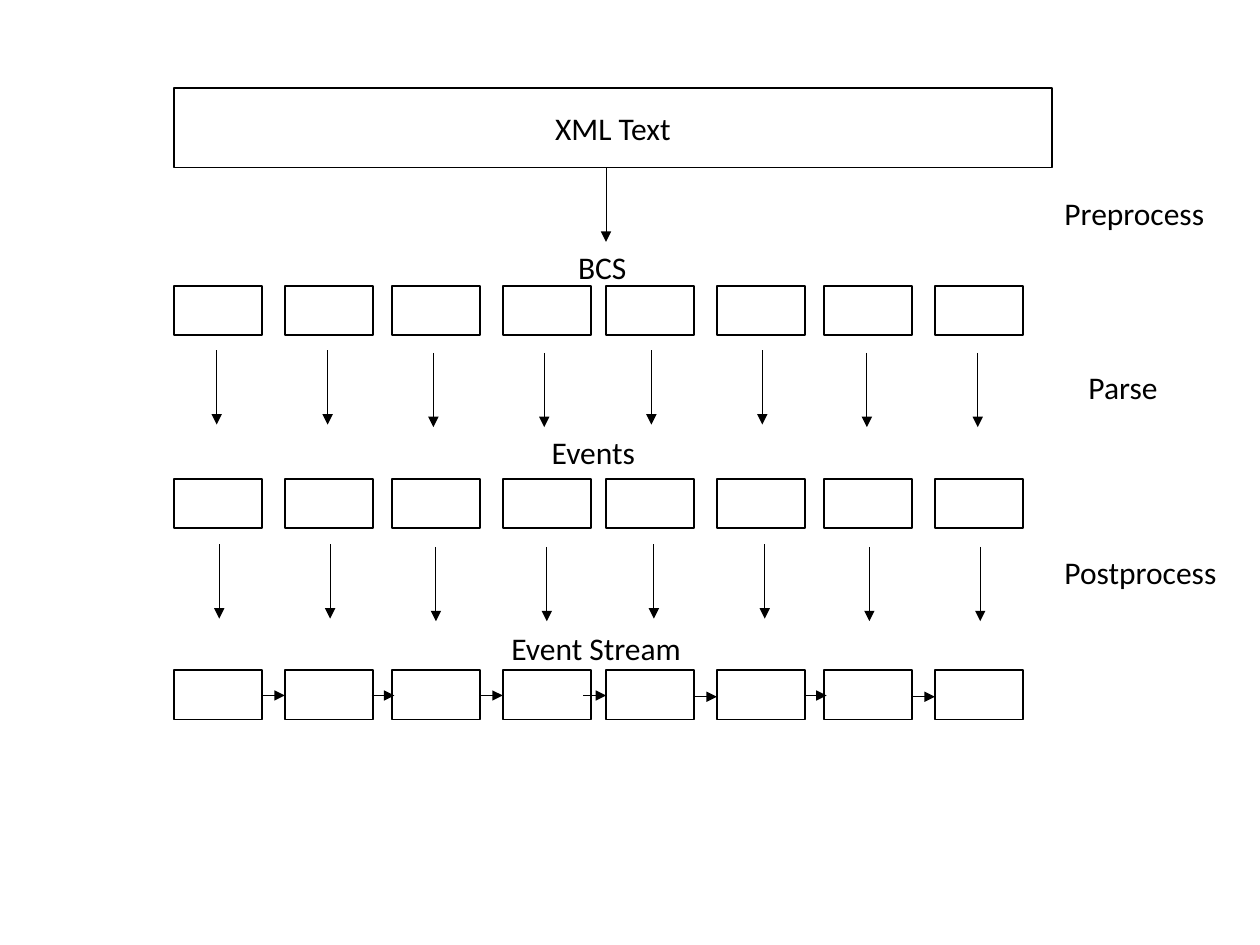
from pptx import Presentation
from pptx.dml.color import RGBColor
from pptx.enum.shapes import MSO_CONNECTOR as CONN, MSO_SHAPE as SHAPE
from pptx.enum.text import MSO_ANCHOR as ANCHOR, MSO_AUTO_SIZE as AUTO, PP_ALIGN as ALIGN
from pptx.oxml.ns import qn
from pptx.util import Inches, Pt
from lxml import etree

COLORS = {"ink": "000000", "paper": "FFFFFF"}


class Diagram:
    """Holds the style and the slide being drawn."""
    font = {"name": "Calibri", "size": Pt(18)}
    box_line, arrow_line = Pt(1), Pt(0.5)

    def __init__(self, slide):
        self.shapes = slide.shapes

    def color(self, name):
        return RGBColor.from_string(COLORS[name])

    def add_text(self, p, text):
        r = p.add_run()
        r.text = text
        for key, value in self.font.items():
            setattr(r.font, key, value)
        r.font.color.rgb = self.color("ink")

    def box(self, x, y, w, h, text=None):
        s = self.shapes.add_shape(SHAPE.RECTANGLE, Inches(x), Inches(y), Inches(w), Inches(h))
        s.shadow.inherit = False
        s.fill.solid()
        s.fill.fore_color.rgb = self.color("paper")
        s.line.color.rgb = self.color("ink")
        s.line.width = self.box_line
        if text:
            s.text_frame.vertical_anchor = ANCHOR.MIDDLE
            p = s.text_frame.paragraphs[0]
            p.alignment = ALIGN.CENTER
            self.add_text(p, text)

    def label(self, x, y, w, h, text):
        s = self.shapes.add_textbox(Inches(x), Inches(y), Inches(w), Inches(h))
        tf = s.text_frame
        tf.word_wrap = True
        tf.auto_size = AUTO.SHAPE_TO_FIT_TEXT
        self.add_text(tf.paragraphs[0], text)

    def arrow(self, x, y, dx=0, dy=0):
        s = self.shapes.add_connector(
            CONN.STRAIGHT, Inches(x), Inches(y), Inches(x + dx), Inches(y + dy))
        s.line.color.rgb = self.color("ink")
        s.line.width = self.arrow_line
        sp_pr = s.element.spPr
        etree.SubElement(sp_pr.find(qn("a:ln")), qn("a:tailEnd"), type="triangle")
        etree.SubElement(sp_pr, qn("a:effectLst"))


def main():
    prs = Presentation()
    prs.slide_width, prs.slide_height = Inches(10), Inches(7.5)
    diagram = Diagram(prs.slides.add_slide(prs.slide_layouts[6]))

    # Source text and the preprocessing step
    diagram.box(1.38, 0.7, 6.97, 0.63, "XML Text")
    diagram.arrow(4.81, 1.33, dy=0.59)

    # Three rows of chunks
    columns = [1.38, 2.26, 3.11, 3.99, 4.81, 5.69, 6.54, 7.42]
    for y in (2.27, 3.8, 5.32):
        for x in columns:
            diagram.box(x, y, 0.7, 0.39)

    # Parallel arrows between rows; every second pair sits slightly lower
    arrow_columns = [1.72, 2.6, 3.44, 4.32, 5.17, 6.05, 6.88, 7.76]
    for shift, y in ((0, 2.78), (0.02, 4.32)):
        for i, x in enumerate(arrow_columns):
            diagram.arrow(x + shift, y + 0.02 * (i // 2 % 2), dy=0.59)

    # Arrows joining the chunks of the event stream
    for x, y in ((2.08, 5.52), (2.95, 5.52), (3.81, 5.52), (4.63, 5.52),
                 (5.51, 5.53), (6.38, 5.52), (7.24, 5.53)):
        diagram.arrow(x, y, dx=0.18)

    # Row names and step names
    for label in ((4.49, 1.92, 0.67, 0.4, "BCS"),
                  (4.28, 3.39, 0.9, 0.4, "Events"),
                  (3.96, 4.94, 1.88, 0.4, "Event Stream"),
                  (8.35, 1.49, 1.34, 0.42, "Preprocess"),
                  (8.54, 2.87, 0.85, 0.42, "Parse"),
                  (8.35, 4.34, 1.46, 0.4, "Postprocess")):
        diagram.label(*label)

    prs.save("out.pptx")


if __name__ == "__main__":
    main()
